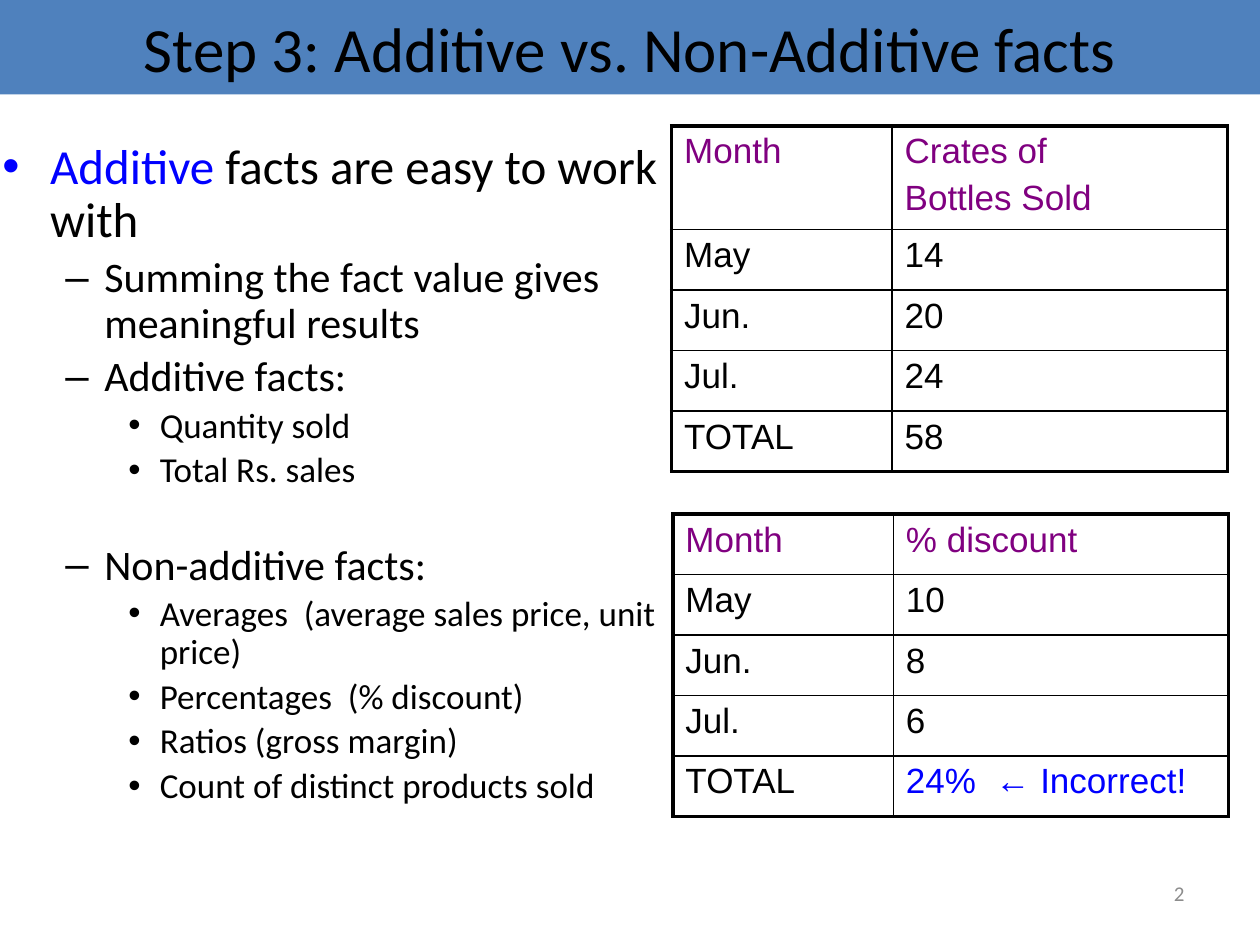
from lxml.etree import SubElement as Sub
from pptx import Presentation
from pptx.dml.color import RGBColor
from pptx.enum.shapes import MSO_SHAPE as Shape
from pptx.enum.text import MSO_ANCHOR as Anchor, PP_ALIGN as Align
from pptx.oxml.ns import qn
from pptx.util import Inches, Pt

BLACK = RGBColor(0, 0, 0)
BLUE = RGBColor(0, 0, 255)
PURPLE = RGBColor(128, 0, 128)
BAND = RGBColor(0x4F, 0x81, 0xBD)
GRAY = RGBColor(0x8C, 0x8C, 0x8C)

LEVELS = [(0.38, 0.38, "•", 28), (0.81, 0.31, "–", 24), (1.25, 0.25, "•", 20)]
GAP = 30.5
POINTS = [
    (0, [("Additive ", BLUE), ("facts are easy to work with", BLACK)], 0),
    (1, [("Summing the fact value gives meaningful results", BLACK)], 4.8),
    (1, [("Additive facts:", BLACK)], 4.8),
    (2, [("Quantity sold", BLACK)], 4),
    (2, [("Total Rs. sales", BLACK)], 4),
    (1, [("Non-additive facts:", BLACK)], GAP),
    (2, [("Averages  (average sales price, unit price)", BLACK)], 4),
    (2, [("Percentages  (% discount)", BLACK)], 4),
    (2, [("Ratios (gross margin)", BLACK)], 4),
    (2, [("Count of distinct products sold", BLACK)], 4),
]
CRATES = [("Month", "Crates of\nBottles Sold"), ("May", "14"), ("Jun.", "20"),
          ("Jul.", "24"), ("TOTAL", "58")]
RATES = [("Month", "% discount"), ("May", "10"), ("Jun.", "8"),
         ("Jul.", "6"), ("TOTAL", "24%  ← Incorrect!")]


def add_run(para, text, size, color, face="Calibri"):
    run = para.add_run()
    run.text = text
    run.font.size = Pt(size)
    run.font.name = face
    run.font.color.rgb = color


def add_title(slide, box, text):
    bar = slide.shapes.add_shape(Shape.RECTANGLE, *map(Inches, box))
    bar.shadow.inherit = False
    bar.fill.solid()
    bar.fill.fore_color.rgb = BAND
    bar.line.fill.background()
    frame = bar.text_frame
    frame.word_wrap = True
    frame.vertical_anchor = Anchor.MIDDLE
    para = frame.paragraphs[0]
    para.alignment = Align.CENTER
    add_run(para, text, 36, BLACK)


def add_number(slide, box, text):
    frame = slide.shapes.add_textbox(*map(Inches, box)).text_frame
    frame.word_wrap = True
    frame.vertical_anchor = Anchor.MIDDLE
    para = frame.paragraphs[0]
    para.alignment = Align.RIGHT
    add_run(para, text, 12, GRAY)


def add_points(slide, box, points):
    frame = slide.shapes.add_textbox(*map(Inches, box)).text_frame
    frame.word_wrap = True
    for i, (level, runs, space) in enumerate(points):
        para = frame.add_paragraph() if i else frame.paragraphs[0]
        left, hang, mark, size = LEVELS[level]
        props = para._p.get_or_add_pPr()
        props.set("marL", str(Inches(left)))
        props.set("indent", str(-Inches(hang)))
        Sub(props, qn("a:buFont"), typeface="Arial")
        Sub(props, qn("a:buChar"), char=mark)
        para.level = level
        para.line_spacing = 0.9
        para.space_before = Pt(space)
        for text, color in runs:
            add_run(para, text, size, color)


def add_edges(cell, widths):
    props = cell._tc.get_or_add_tcPr()
    for side, width in zip("LRTB", widths):
        line = Sub(props, qn(f"a:ln{side}"), w=str(Pt(width)))
        fill = Sub(line, qn("a:solidFill"))
        Sub(fill, qn("a:srgbClr"), val=str(BLACK))


def add_grid(slide, box, rows, head):
    height = head + 0.48 * (len(rows) - 1)
    left, top = box
    grid = slide.shapes.add_table(len(rows), 2, Inches(left), Inches(top),
                                  Inches(4.41), Inches(height)).table
    grid.first_row = grid.horz_banding = False
    for col, width in zip(grid.columns, (1.75, 2.66)):
        col.width = Inches(width)
    last = len(rows) - 1
    for r, row in enumerate(rows):
        grid.rows[r].height = Inches(0.48 if r else head)
        for c, text in enumerate(row):
            cell = grid.cell(r, c)
            outer = (c == 0, c == 1, r == 0, r == last)
            add_edges(cell, [2.25 if edge else 1 for edge in outer])
            cell.fill.background()
            color = BLACK if r else PURPLE
            if "Incorrect" in text:
                color = BLUE
            for i, part in enumerate(text.split("\n")):
                frame = cell.text_frame
                para = frame.add_paragraph() if i else frame.paragraphs[0]
                para.space_before = Pt(4 if i else 0)
                add_run(para, part, 20, color, "Arial")


def main():
    deck = Presentation()
    deck.slide_width, deck.slide_height = Inches(10), Inches(7.5)
    slide = deck.slides.add_slide(deck.slide_layouts[6])
    add_number(slide, (7.17, 6.83, 2.33, 0.52), "2")
    add_title(slide, (0, 0, 10, 0.75), "Step 3: Additive vs. Non-Additive facts")
    add_points(slide, (-0.08, 1.08, 5.5, 5.83), POINTS)
    add_grid(slide, (5.33, 1), CRATES, 0.77)
    add_grid(slide, (5.34, 4.08), RATES, 0.48)
    deck.save("out.pptx")


if __name__ == "__main__":
    main()
